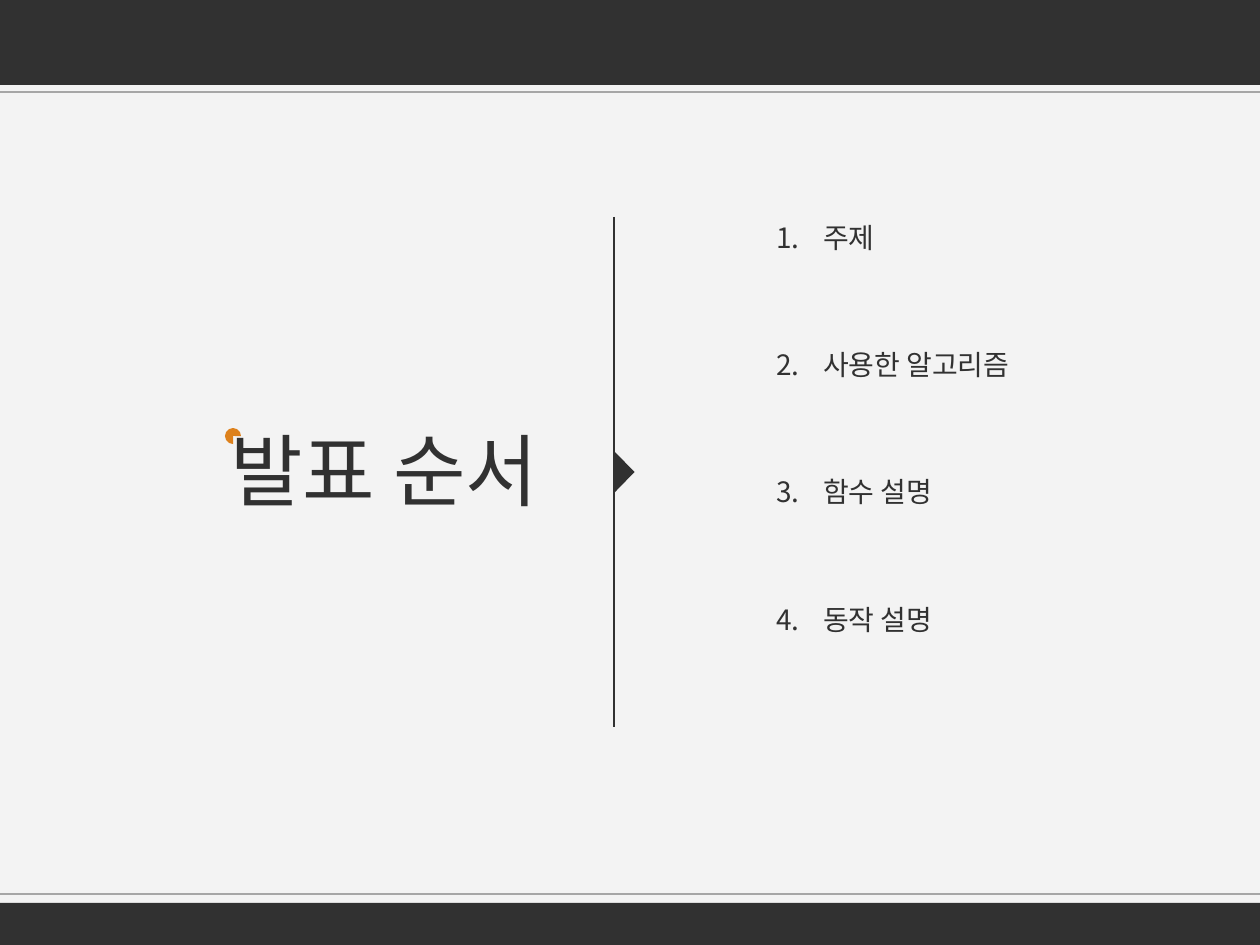
from lxml.etree import SubElement
from pptx import Presentation
from pptx.dml.color import RGBColor
from pptx.enum.shapes import MSO_CONNECTOR, MSO_SHAPE
from pptx.enum.text import MSO_AUTO_SIZE
from pptx.oxml.ns import qn
from pptx.util import Emu, Pt

WIDTH, HEIGHT = 1260, 945
DARK, GRAY, ORANGE, PAPER = "313131", "A6A6A6", "DD811C", "F3F3F3"


def px(length):
    return Emu(length * 914400 // 126)


def color(value):
    return RGBColor.from_string(value)


class Deck:
    font = "Noto Sans CJK KR"

    def __init__(self):
        self.presentation = Presentation()
        self.presentation.slide_width = px(WIDTH)
        self.presentation.slide_height = px(HEIGHT)
        self.slide = self.presentation.slides.add_slide(self.presentation.slide_layouts[6])
        background = self.slide.background.fill
        background.solid()
        background.fore_color.rgb = color(PAPER)

    def shape(self, preset, left, top, width, height, fill, rotation=0):
        shape = self.slide.shapes.add_shape(preset, px(left), px(top), px(width), px(height))
        shape.shadow.inherit = False
        shape.fill.solid()
        shape.fill.fore_color.rgb = color(fill)
        shape.line.fill.background()
        shape.rotation = rotation

    def line(self, x1, y1, x2, y2, stroke):
        line = self.slide.shapes.add_connector(
            MSO_CONNECTOR.STRAIGHT, px(x1), px(y1), px(x2), px(y2))
        line.line.color.rgb = color(stroke)
        line.line.width = Pt(0.75)
        SubElement(line._element.spPr, qn("a:effectLst"))

    def text(self, left, top, width, height, lines, size, gap=0, numbered=False):
        frame = self.slide.shapes.add_textbox(
            px(left), px(top), px(width), px(height)).text_frame
        frame.word_wrap = False
        frame.auto_size = MSO_AUTO_SIZE.SHAPE_TO_FIT_TEXT if not numbered else MSO_AUTO_SIZE.NONE
        for index, words in enumerate(lines):
            paragraph = frame.add_paragraph() if index else frame.paragraphs[0]
            if index:
                paragraph.space_before = Pt(gap)
            if numbered:
                self.number(paragraph)
            run = paragraph.add_run()
            run.text = words
            run.font.size = Pt(size)
            run.font.name = self.font
            run.font.color.rgb = color(DARK)
            SubElement(run.font._element, qn("a:ea"), typeface=self.font)

    def number(self, paragraph):
        properties = paragraph._p.get_or_add_pPr()
        properties.set("marL", str(px(47)))
        properties.set("indent", str(-px(47)))
        SubElement(properties, qn("a:buFont"), typeface=self.font)
        SubElement(properties, qn("a:buAutoNum"), type="arabicPeriod")


def main():
    deck = Deck()
    for top, height in ((903, 42), (0, 85)):
        deck.shape(MSO_SHAPE.RECTANGLE, 0, top, WIDTH, height, DARK)
    for y in (92, 894):
        deck.line(0, y, WIDTH, y, GRAY)

    topics = ["주제", "사용한 알고리즘", "함수 설명", "동작 설명"]
    deck.text(764, 214, 281, 521, topics, 16, gap=53.6, numbered=True)
    deck.text(218, 416, 383, 108, ["발표 순서"], 45)

    deck.line(614, 217, 614, 727, DARK)
    deck.shape(MSO_SHAPE.ISOSCELES_TRIANGLE, 604, 462, 41, 20, DARK, rotation=90)
    deck.shape(MSO_SHAPE.PIE, 225, 428, 16, 16, ORANGE, rotation=90)

    deck.presentation.save("out.pptx")


if __name__ == "__main__":
    main()
